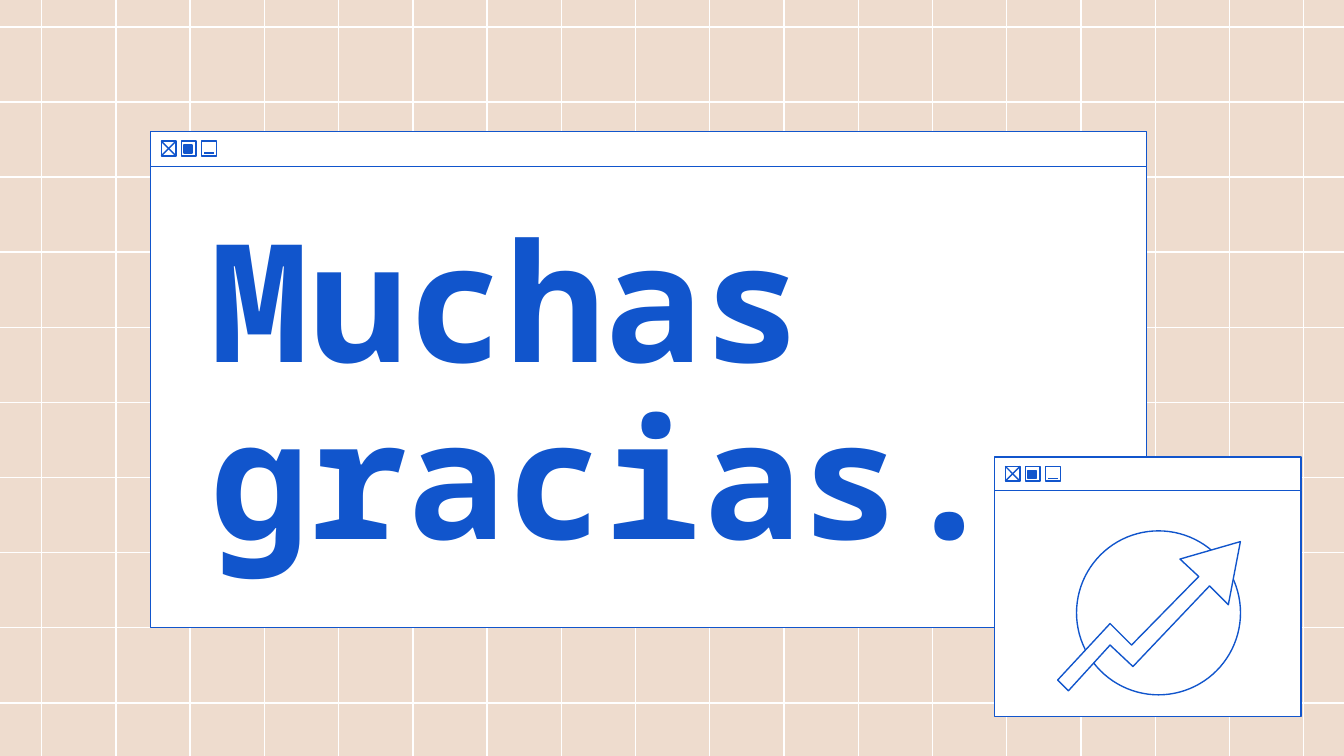
from lxml import etree
from pptx import Presentation
from pptx import util as u
from pptx.dml.color import RGBColor
from pptx.enum import shapes, text
from pptx.oxml.ns import qn

COLORS = {"background": "EEDCCE", "paper": "FFFFFF", "ink": "1155CC"}
FONT = "Noto Sans Mono"
WIDTH = 10
HEIGHT = WIDTH * 9 / 16
ARROW = [
    (9.23, 4.03), (8.78, 4.16), (8.92, 4.29), (8.42, 4.8), (8.26, 4.64),
    (7.87, 5.06), (7.95, 5.14), (8.26, 4.8), (8.43, 4.96), (9, 4.36),
    (9.14, 4.5),
]


def color(name):
    return RGBColor.from_string(COLORS[name])


def style(shape, fill):
    shape.shadow.inherit = False
    if fill:
        shape.fill.solid()
        shape.fill.fore_color.rgb = color(fill)
    else:
        shape.fill.background()
    shape.line.color.rgb = color("ink")
    shape.line.width = u.Pt(0.75)


def add_preset(slide, preset, x, y, width, height, fill=None):
    shape = slide.shapes.add_shape(
        preset, u.Inches(x), u.Inches(y), u.Inches(width), u.Inches(height))
    style(shape, fill)


def add_box(slide, x, y, width, height, fill=None):
    add_preset(slide, shapes.MSO_SHAPE.RECTANGLE, x, y, width, height, fill)


def add_line(slide, x1, y1, x2, y2, ink="ink"):
    line = slide.shapes.add_connector(
        shapes.MSO_CONNECTOR.STRAIGHT,
        u.Inches(x1), u.Inches(y1), u.Inches(x2), u.Inches(y2))
    line.line.color.rgb = color(ink)
    line.line.width = u.Pt(0.75)
    etree.SubElement(line._element.spPr, qn("a:effectLst"))


def add_grid(slide):
    for column in range(18):
        x = 0.31 + column * 9.39 / 17
        add_line(slide, x, 0, x, HEIGHT, "paper")
    for row in range(10):
        y = 0.2 + row * 5.03 / 9
        add_line(slide, WIDTH, y, 0, y, "paper")


def add_window(slide, x, y, width, bar_height, body_height):
    add_box(slide, x, y + bar_height, width, body_height, "paper")
    add_box(slide, x, y, width, bar_height, "paper")
    size, top = 0.11, y + 0.07
    close, maximize, minimize = [x + 0.08 + i * 0.15 for i in range(3)]
    for left in (close, maximize, minimize):
        add_box(slide, left, top, size, size)
    add_line(slide, close, top, close + size, top + size)
    add_line(slide, close + size, top, close, top + size)
    add_box(slide, maximize + 0.02, top + 0.03, 0.06, 0.06, "ink")
    add_line(slide, minimize + 0.02, top + 0.09, minimize + 0.09, top + 0.09)


def add_title(slide, words):
    title = slide.shapes.add_textbox(
        u.Inches(1.47), u.Inches(1.36), u.Inches(6.25), u.Inches(3.2))
    frame = title.text_frame
    frame.word_wrap = True
    frame.vertical_anchor = text.MSO_ANCHOR.MIDDLE
    frame.margin_left = frame.margin_right = u.Inches(0.1)
    frame.margin_top = frame.margin_bottom = u.Inches(0.1)
    frame.text = words
    paragraph = frame.paragraphs[0]
    paragraph.line_spacing = 0.9
    font = paragraph.runs[0].font
    font.name = FONT
    font.size = u.Pt(88)
    font.bold = True
    font.color.rgb = color("ink")


def add_growth_icon(slide):
    add_preset(slide, shapes.MSO_SHAPE.OVAL, 8.01, 3.95, 1.22, 1.22, "paper")
    points = [(u.Inches(x), u.Inches(y)) for x, y in ARROW]
    outline = slide.shapes.build_freeform(*points[0])
    outline.add_line_segments(points[1:], close=True)
    style(outline.convert_to_shape(), "paper")


def main():
    deck = Presentation()
    deck.slide_width, deck.slide_height = u.Inches(WIDTH), u.Inches(HEIGHT)
    slide = deck.slides.add_slide(deck.slide_layouts[6])
    slide.background.fill.solid()
    slide.background.fill.fore_color.rgb = color("background")
    add_grid(slide)
    add_window(slide, 1.12, 0.98, 7.41, 0.26, 3.43)
    add_title(slide, "Muchas gracias.")
    add_window(slide, 7.4, 3.4, 2.28, 0.25, 1.68)
    add_growth_icon(slide)
    deck.save("out.pptx")


if __name__ == "__main__":
    main()
